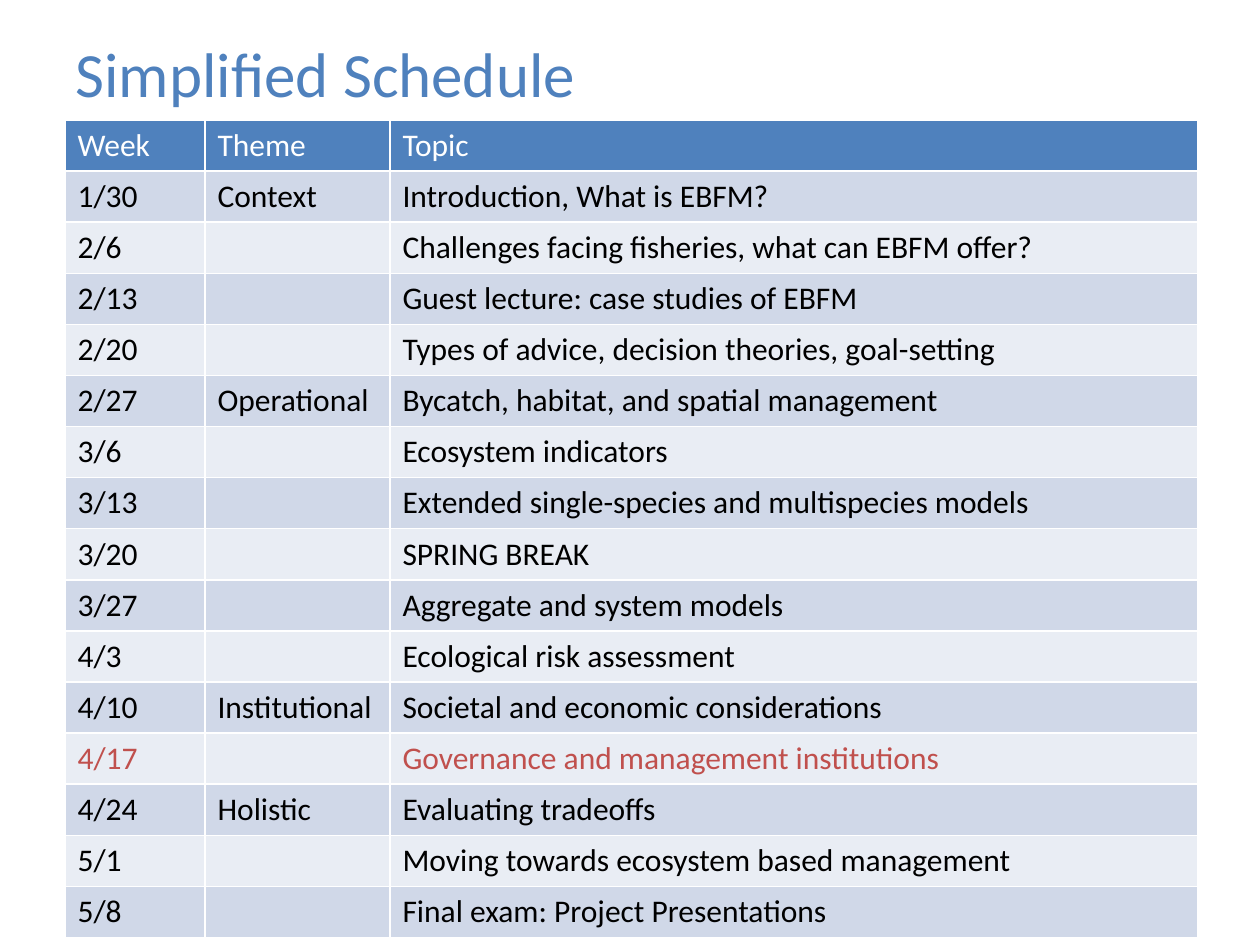
from pptx import Presentation
from pptx import util as u
from pptx.dml.color import RGBColor
from pptx.enum import text

PX = u.Inches(1) / 126
FONT = "Calibri"
COLORS = {
    "accent": "4F81BD",
    "header_text": "FFFFFF",
    "body_text": "000000",
    "highlight": "C0504D",
    "odd_row": "D0D8E8",
    "even_row": "E9EDF4",
}
COLUMN_WIDTHS = [140, 185, 808]
ROW_HEIGHT = 51
HIGHLIGHT_WEEK = "4/17"
SCHEDULE = [
    ("Week", "Theme", "Topic"),
    ("1/30", "Context", "Introduction, What is EBFM?"),
    ("2/6", "", "Challenges facing fisheries, what can EBFM offer?"),
    ("2/13", "", "Guest lecture: case studies of EBFM"),
    ("2/20", "", "Types of advice, decision theories, goal-setting"),
    ("2/27", "Operational", "Bycatch, habitat, and spatial management"),
    ("3/6", "", "Ecosystem indicators"),
    ("3/13", "", "Extended single-species and multispecies models"),
    ("3/20", "", "SPRING BREAK"),
    ("3/27", "", "Aggregate and system models"),
    ("4/3", "", "Ecological risk assessment"),
    ("4/10", "Institutional", "Societal and economic considerations"),
    ("4/17", "", "Governance and management institutions"),
    ("4/24", "Holistic", "Evaluating tradeoffs"),
    ("5/1", "", "Moving towards ecosystem based management"),
    ("5/8", "", "Final exam: Project Presentations"),
]


def px(n):
    """Turn whole pixels into EMU."""
    return u.Emu(round(n * PX))


def rgb(name):
    """Look up a named colour."""
    return RGBColor.from_string(COLORS[name])


def style_font(font, size, color):
    """Set typeface, size and colour, without bold."""
    font.name = FONT
    font.size = u.Pt(size)
    font.bold = False
    font.color.rgb = rgb(color)


def set_title(slide, title):
    """Place and format the title placeholder."""
    sp = slide.shapes.title
    sp.left, sp.top, sp.width, sp.height = px(63), px(25), px(1134), px(95)
    tf = sp.text_frame
    tf.text = title
    tf.vertical_anchor = text.MSO_ANCHOR.MIDDLE
    p = tf.paragraphs[0]
    p.alignment = text.PP_ALIGN.LEFT
    style_font(p.runs[0].font, 36, "accent")


def row_colors(index, week):
    """Return the fill and text colours of a schedule row."""
    if index == 0:
        return "accent", "header_text"
    fill = "odd_row" if index % 2 else "even_row"
    return fill, "highlight" if week == HIGHLIGHT_WEEK else "body_text"


def fill_cell(cell, value, fill, color):
    """Write and colour one table cell."""
    cell.fill.solid()
    cell.fill.fore_color.rgb = rgb(fill)
    cell.text = value
    style_font(cell.text_frame.paragraphs[0].font, 18, color)
    for r in cell.text_frame.paragraphs[0].runs:
        style_font(r.font, 18, color)


def add_schedule(slide):
    """Add the schedule table."""
    table = slide.shapes.add_table(
        len(SCHEDULE), len(COLUMN_WIDTHS), px(65), px(120),
        px(sum(COLUMN_WIDTHS)), px(ROW_HEIGHT * len(SCHEDULE))).table
    for column, width in zip(table.columns, COLUMN_WIDTHS):
        column.width = px(width)
    for i, (row, values) in enumerate(zip(table.rows, SCHEDULE)):
        row.height = px(ROW_HEIGHT)
        fill, color = row_colors(i, values[0])
        for cell, value in zip(row.cells, values):
            fill_cell(cell, value, fill, color)


def main():
    """Build and save the schedule slide."""
    prs = Presentation()
    prs.slide_width, prs.slide_height = u.Inches(10), u.Inches(7.5)
    slide = prs.slides.add_slide(prs.slide_layouts[5])
    set_title(slide, "Simplified Schedule")
    add_schedule(slide)
    prs.save("out.pptx")


if __name__ == "__main__":
    main()
